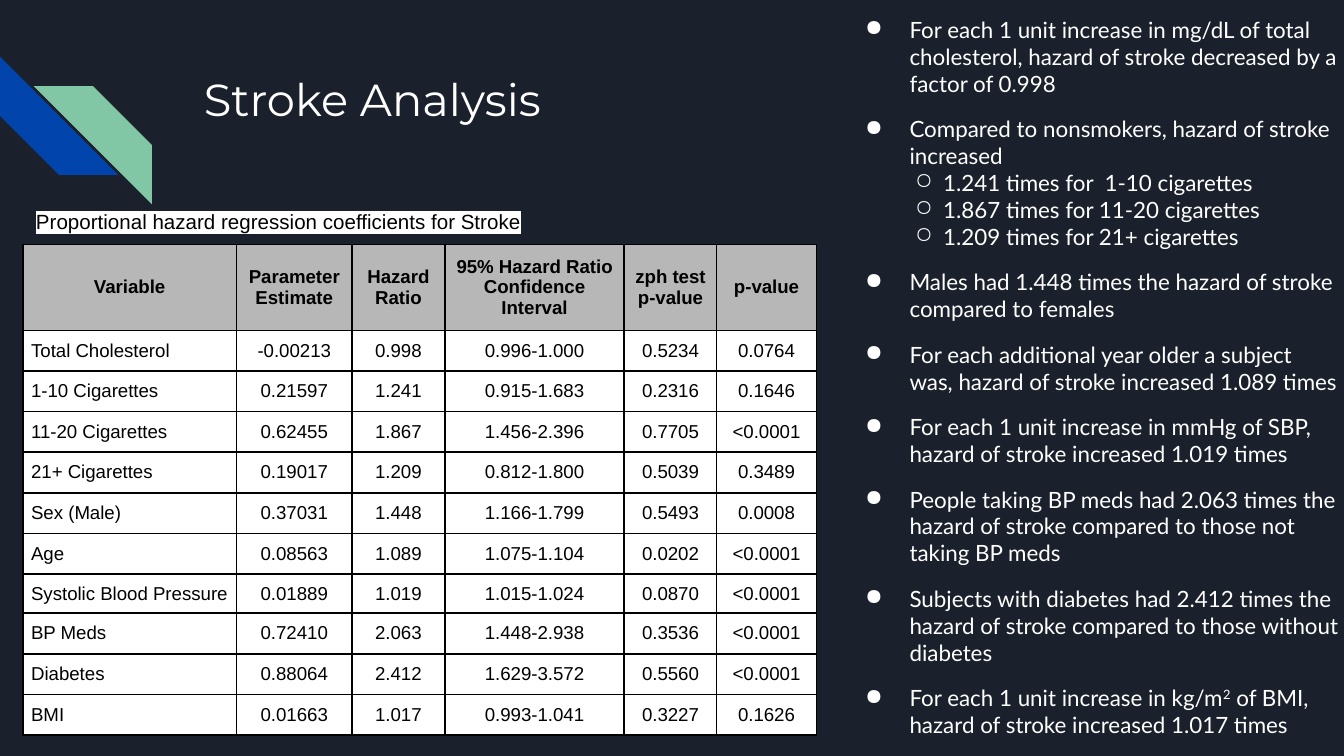
from dataclasses import dataclass

from lxml import etree
from pptx import Presentation
from pptx.dml.color import RGBColor
from pptx.enum.shapes import MSO_SHAPE
from pptx.enum.text import MSO_ANCHOR, PP_ALIGN
from pptx.oxml.ns import qn
from pptx.util import Pt

STRIPE = MSO_SHAPE.DIAGONAL_STRIPE
MIDDLE = MSO_ANCHOR.MIDDLE
LEFT, CENTER = PP_ALIGN.LEFT, PP_ALIGN.CENTER


@dataclass(frozen=True)
class Theme:
    back: str = "1B212C"
    blue: str = "0145AC"
    green: str = "82C7A5"
    gray: str = "B7B7B7"
    white: str = "FFFFFF"
    black: str = "000000"
    head: str = "Montserrat"
    body: str = "Lato"
    data: str = "Arial"
    title: float = 24
    point: float = 12
    label: float = 11
    cell: float = 10


THEME = Theme()

COLS = [114.5, 61.9, 49.7, 96.2, 49.5, 53.4]
HEAD = ["Variable", "Parameter Estimate", "Hazard Ratio",
        "95% Hazard Ratio Confidence Interval", "zph test p-value", "p-value"]
ROWS = [
    ["Total Cholesterol", "-0.00213", "0.998", "0.996-1.000", "0.5234", "0.0764"],
    ["1-10 Cigarettes", "0.21597", "1.241", "0.915-1.683", "0.2316", "0.1646"],
    ["11-20 Cigarettes", "0.62455", "1.867", "1.456-2.396", "0.7705", "<0.0001"],
    ["21+ Cigarettes", "0.19017", "1.209", "0.812-1.800", "0.5039", "0.3489"],
    ["Sex (Male)", "0.37031", "1.448", "1.166-1.799", "0.5493", "0.0008"],
    ["Age", "0.08563", "1.089", "1.075-1.104", "0.0202", "<0.0001"],
    ["Systolic Blood Pressure", "0.01889", "1.019", "1.015-1.024", "0.0870", "<0.0001"],
    ["BP Meds", "0.72410", "2.063", "1.448-2.938", "0.3536", "<0.0001"],
    ["Diabetes", "0.88064", "2.412", "1.629-3.572", "0.5560", "<0.0001"],
    ["BMI", "0.01663", "1.017", "0.993-1.041", "0.3227", "0.1626"],
]
HIGHS = [46] + [21.75] * 6 + [20.4] + [21.75] * 3

POINTS = [
    (0, "For each 1 unit increase in mg/dL of total cholesterol, "
        "hazard of stroke decreased by a factor of 0.998"),
    (0, "Compared to nonsmokers, hazard of stroke increased"),
    (1, "1.241 times for  1-10 cigarettes"),
    (1, "1.867 times for 11-20 cigarettes"),
    (1, "1.209 times for 21+ cigarettes"),
    (0, "Males had 1.448 times the hazard of stroke compared to females"),
    (0, "For each additional year older a subject was, "
        "hazard of stroke increased 1.089 times"),
    (0, "For each 1 unit increase in mmHg of SBP, "
        "hazard of stroke increased 1.019 times"),
    (0, "People taking BP meds had 2.063 times the hazard of stroke "
        "compared to those not taking BP meds"),
    (0, "Subjects with diabetes had 2.412 times the hazard of stroke "
        "compared to those without diabetes"),
    (0, "For each 1 unit increase in kg/m"),
]
POWER = "2"
TAIL = " of BMI, hazard of stroke increased 1.017 times"
LEVELS = [("●", 36, -23.75), ("○", 54, -15)]


def rgb(color):
    return RGBColor.from_string(color)


def style(run, size, face, color, bold=False):
    font = run.font
    font.size, font.name, font.bold = Pt(size), face, bold
    font.color.rgb = rgb(color)


def add_tint(node, color):
    etree.SubElement(node, qn("a:srgbClr")).set("val", color)


def add_box(slide, box):
    frame = slide.shapes.add_textbox(*map(Pt, box)).text_frame
    frame.word_wrap = True
    frame.margin_left = frame.margin_right = Pt(7.2)
    frame.margin_top = frame.margin_bottom = Pt(7.2)
    return frame


def add_mark(slide, box):
    left, top, size = box
    group = slide.shapes.add_group_shape()
    for x, y, turn, color in [(0, 0, 270, THEME.blue), (18, 15.8, 90, THEME.green)]:
        stripe = group.shapes.add_shape(
            STRIPE, Pt(left + x), Pt(top + y), Pt(size), Pt(size))
        stripe.rotation = turn
        stripe.shadow.inherit = False
        stripe.fill.solid()
        stripe.fill.fore_color.rgb = rgb(color)
        stripe.line.fill.background()


def add_title(slide, box):
    para = add_box(slide, box).paragraphs[0]
    para.text = "Stroke Analysis"
    style(para.runs[0], THEME.title, THEME.head, THEME.white)


def add_label(slide, box):
    para = add_box(slide, box).paragraphs[0]
    para.text = "Proportional hazard regression coefficients for Stroke"
    para.line_spacing = 1.15
    run = para.runs[0]
    style(run, THEME.label, THEME.data, THEME.black)
    glow = etree.Element(qn("a:highlight"))
    add_tint(glow, THEME.white)
    run.font._element.find(qn("a:solidFill")).addnext(glow)


def add_edges(cell):
    props = cell._tc.get_or_add_tcPr()
    for side in "LRTB":
        line = etree.SubElement(props, qn("a:ln" + side), w=str(Pt(1)))
        add_tint(etree.SubElement(line, qn("a:solidFill")), THEME.black)


def fill_cell(cell, text, top, first):
    add_edges(cell)
    cell.fill.solid()
    cell.fill.fore_color.rgb = rgb(THEME.gray if top else THEME.white)
    pad = Pt(5 if top else 4.5)
    cell.margin_left = cell.margin_right = pad
    cell.margin_top = cell.margin_bottom = pad
    cell.vertical_anchor = MIDDLE
    para = cell.text_frame.paragraphs[0]
    para.text = text
    para.alignment = LEFT if first and not top else CENTER
    style(para.runs[0], THEME.cell, THEME.data, THEME.black, top)


def add_grid(slide, box):
    data = [HEAD] + ROWS
    table = slide.shapes.add_table(len(data), len(HEAD), *map(Pt, box)).table
    table.first_row = table.horz_banding = False
    for col, wide in zip(table.columns, COLS):
        col.width = Pt(wide)
    for row, high in zip(table.rows, HIGHS):
        row.height = Pt(high)
    for i, line in enumerate(data):
        for j, text in enumerate(line):
            fill_cell(table.cell(i, j), text, i == 0, j == 0)


def add_bullet(para, level):
    sign, inset, hang = LEVELS[level]
    para.level = level
    props = para._p.get_or_add_pPr()
    props.set("marL", str(Pt(inset)))
    props.set("indent", str(Pt(hang)))
    add_tint(etree.SubElement(props, qn("a:buClr")), THEME.white)
    etree.SubElement(props, qn("a:buChar")).set("char", sign)


def add_points(slide, box):
    frame = add_box(slide, box)
    frame.text = "\n".join(text for _, text in POINTS)
    paras = frame.paragraphs
    last = paras[-1]
    for text in (POWER, TAIL):
        last.add_run().text = text
    for i, (para, (level, _)) in enumerate(zip(paras, POINTS)):
        add_bullet(para, level)
        para.space_before = Pt(10 if i and level == 0 else 0)
        for run in para.runs:
            style(run, THEME.point, THEME.body, THEME.white)
    last.runs[1].font._element.set("baseline", "30000")


def main():
    deck = Presentation()
    deck.slide_width, deck.slide_height = Pt(720), Pt(405)
    slide = deck.slides.add_slide(deck.slide_layouts[6])
    slide.background.fill.solid()
    slide.background.fill.fore_color.rgb = rgb(THEME.back)
    add_mark(slide, (0, 30.3, 63.4))
    add_title(slide, (102.2, 31, 554.4, 72))
    add_label(slide, (12.2, 103, 318.2, 28))
    add_points(slide, (444.2, 1.4, 280.8, 405.4))
    add_grid(slide, (12.2, 131, sum(COLS), sum(HIGHS)))
    deck.save("out.pptx")


if __name__ == "__main__":
    main()
